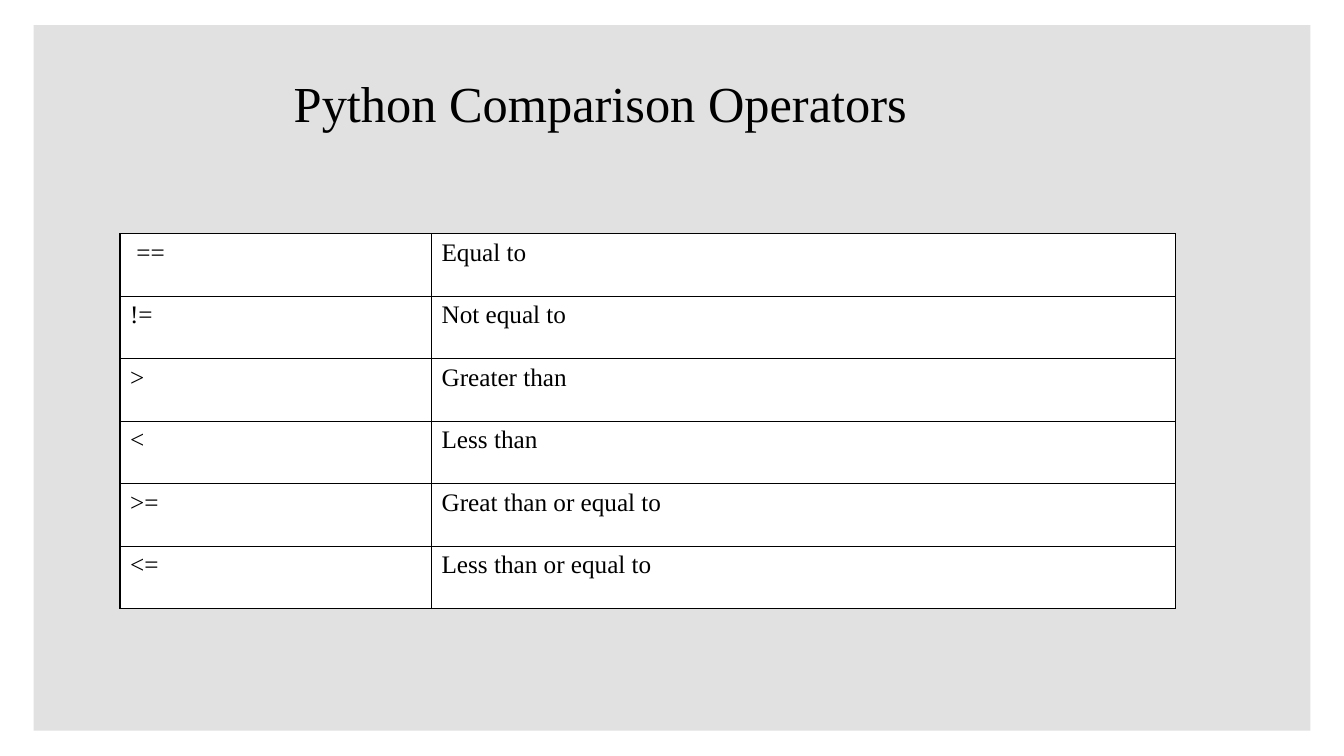
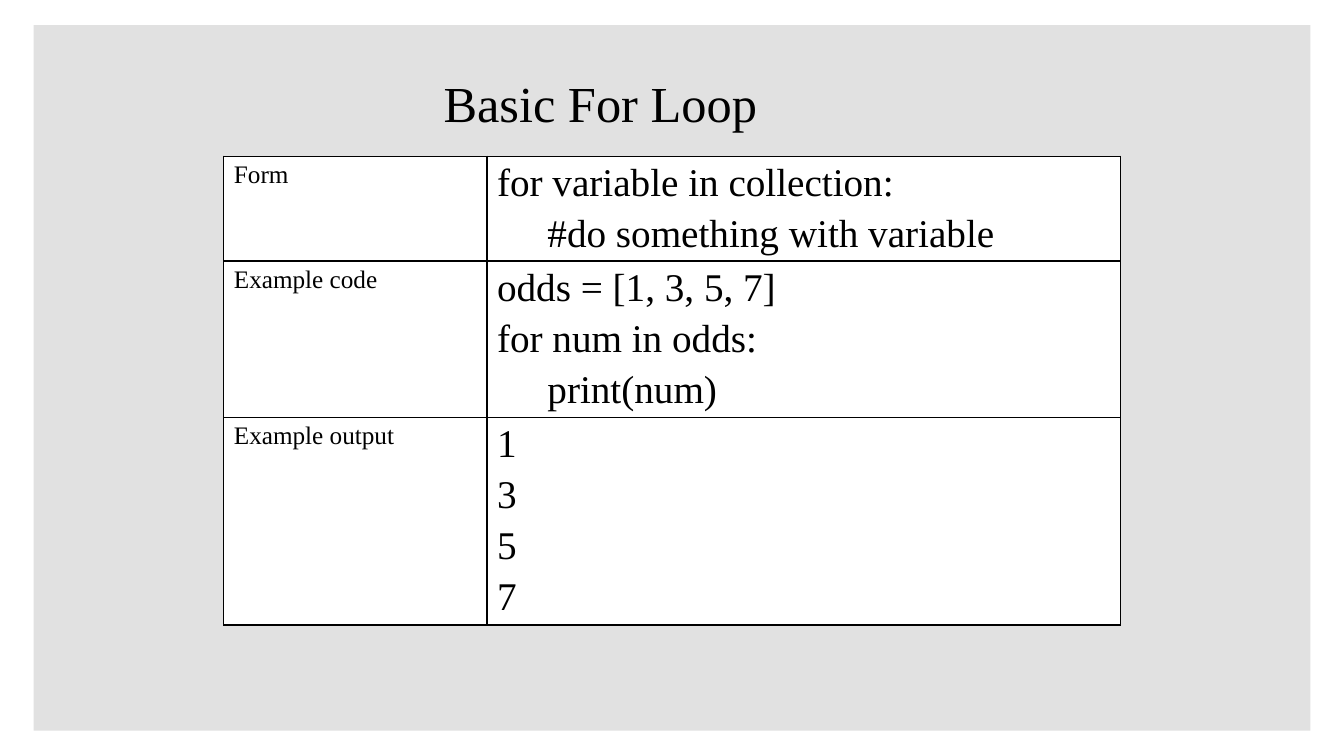
from dataclasses import dataclass

from lxml.etree import SubElement
from pptx import Presentation
from pptx.dml.color import RGBColor
from pptx.enum.shapes import MSO_SHAPE
from pptx.enum.text import MSO_ANCHOR, PP_ALIGN
from pptx.oxml.ns import qn
from pptx.slide import Slide, SlideLayout
from pptx.table import _Cell
from pptx.text.text import _Paragraph
from pptx.util import Inches, Pt

# Shared look
PANEL_GREY = RGBColor(0xE1, 0xE1, 0xE1)
WHITE = RGBColor(0xFF, 0xFF, 0xFF)
BLACK = RGBColor(0x00, 0x00, 0x00)
FONT = "Times New Roman"
SLIDE_W, SLIDE_H = 13.33, 7.5
MARGIN_X, MARGIN_Y = SLIDE_W / 40, SLIDE_H / 30
TITLE_SIZE, LABEL_SIZE, CODE_SIZE = 36, 18, 28
CODE_GAP = 0.2  # space between code lines, as a share of the text size
CODE_INDENT = 0.5
CODE_LINE, CODE_PADDING = 0.51, 0.02
OPERATOR_ROW = 0.62


@dataclass(frozen=True)
class Line:
    text: str
    indented: bool = False


@dataclass(frozen=True)
class Row:
    label: str
    lines: tuple[Line, ...]
    height: float


@dataclass(frozen=True)
class TableSlide:
    title: str
    left: float
    top: float
    columns: tuple[float, float]
    text_size: int
    rows: tuple[Row, ...]


def operator_row(symbol: str, meaning: str) -> Row:
    return Row(symbol, (Line(meaning),), OPERATOR_ROW)


def code_row(label: str, *lines: Line) -> Row:
    return Row(label, lines, len(lines) * CODE_LINE + CODE_PADDING)


SLIDES = (
    TableSlide(
        "Python Comparison Operators", 1.19, 2.32, (3.09, 7.38), LABEL_SIZE,
        (
            operator_row(" ==", "Equal to"),
            operator_row("!=", "Not equal to"),
            operator_row(">", "Greater than"),
            operator_row("<", "Less than"),
            operator_row(">=", "Great than or equal to"),
            operator_row("<=", "Less than or equal to"),
        ),
    ),
    TableSlide(
        "Basic For Loop", 2.22, 1.55, (2.61, 6.28), CODE_SIZE,
        (
            code_row("Form", Line("for variable in collection:"),
                     Line("#do something with variable", indented=True)),
            code_row("Example code", Line("odds = [1, 3, 5, 7]"),
                     Line("for num in odds:"), Line("print(num)", indented=True)),
            code_row("Example output", *(Line(str(odd)) for odd in (1, 3, 5, 7))),
        ),
    ),
)


def style_text(paragraph: _Paragraph, size: int) -> None:
    paragraph.font.name = FONT
    paragraph.font.size = Pt(size)
    paragraph.font.color.rgb = BLACK


def place_title(layout: SlideLayout) -> None:
    """Set the title's place once for every slide on the layout."""
    title = layout.placeholders[0]
    title.left, title.top = Inches(0.68), Inches(0.48)
    title.width, title.height = Inches(10.55), Inches(1.07)
    title.text_frame.vertical_anchor = MSO_ANCHOR.MIDDLE


def add_master_panel(slide: Slide) -> None:
    """Draw the grey panel and move it behind everything on the master."""
    panel = slide.shapes.add_shape(
        MSO_SHAPE.RECTANGLE, Inches(MARGIN_X), Inches(MARGIN_Y),
        Inches(SLIDE_W - 2 * MARGIN_X), Inches(SLIDE_H - 2 * MARGIN_Y))
    panel.shadow.inherit = False
    panel.fill.solid()
    panel.fill.fore_color.rgb = PANEL_GREY
    panel.line.fill.background()
    slide.slide_layout.slide_master.shapes.element.insert(2, panel.element)


def frame_cell(cell: _Cell) -> None:
    """Give a cell thin black borders and a white fill."""
    properties = cell._tc.get_or_add_tcPr()
    for side in ("a:lnL", "a:lnR", "a:lnT", "a:lnB"):
        border = SubElement(properties, qn(side), w=str(Pt(1)))
        fill = SubElement(border, qn("a:solidFill"))
        SubElement(fill, qn("a:srgbClr"), val=str(BLACK))
    cell.fill.solid()
    cell.fill.fore_color.rgb = WHITE


def fill_cell(cell: _Cell, lines: tuple[Line, ...], size: int) -> None:
    frame_cell(cell)
    for index, line in enumerate(lines):
        frame = cell.text_frame
        paragraph = frame.add_paragraph() if index else frame.paragraphs[0]
        paragraph.text = line.text
        style_text(paragraph, size)
        if index:
            paragraph.space_before = Pt(size * CODE_GAP)
        if line.indented:
            paragraph._p.get_or_add_pPr().set("marL", str(Inches(CODE_INDENT)))


def add_content(slide: Slide, content: TableSlide) -> None:
    # Title
    slide.shapes.title.text = content.title
    heading = slide.shapes.title.text_frame.paragraphs[0]
    heading.alignment = PP_ALIGN.CENTER
    style_text(heading, TITLE_SIZE)

    # Table
    table = slide.shapes.add_table(
        len(content.rows), len(content.columns),
        Inches(content.left), Inches(content.top),
        Inches(sum(content.columns)),
        Inches(sum(row.height for row in content.rows))).table
    table.first_row = table.horz_banding = False
    for column, width in zip(table.columns, content.columns):
        column.width = Inches(width)
    for index, row in enumerate(content.rows):
        table.rows[index].height = Inches(row.height)
        fill_cell(table.cell(index, 0), (Line(row.label),), LABEL_SIZE)
        fill_cell(table.cell(index, 1), row.lines, content.text_size)


def main() -> None:
    deck = Presentation()
    deck.slide_width, deck.slide_height = Inches(SLIDE_W), Inches(SLIDE_H)
    title_only = deck.slide_layouts.get_by_name("Title Only")
    place_title(title_only)
    for content in SLIDES:
        add_content(deck.slides.add_slide(title_only), content)
    add_master_panel(deck.slides[0])
    deck.save("out.pptx")


if __name__ == "__main__":
    main()
